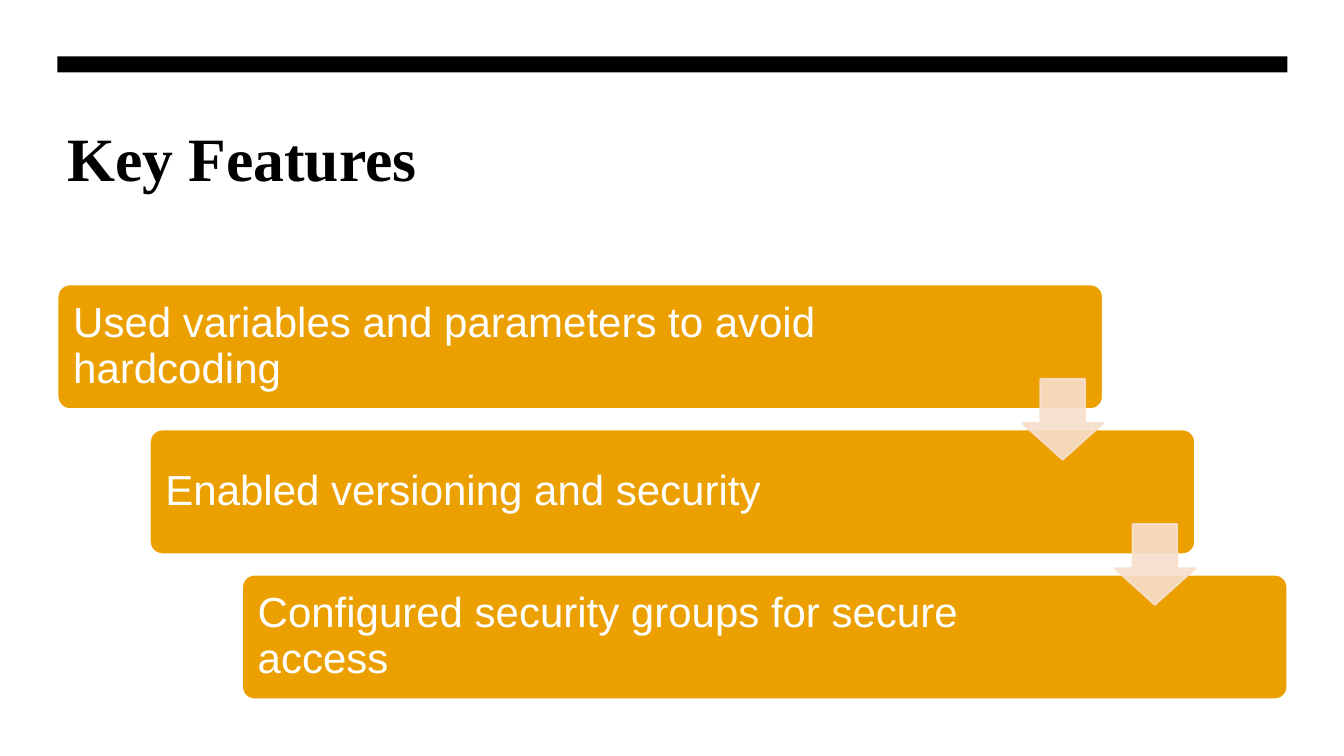
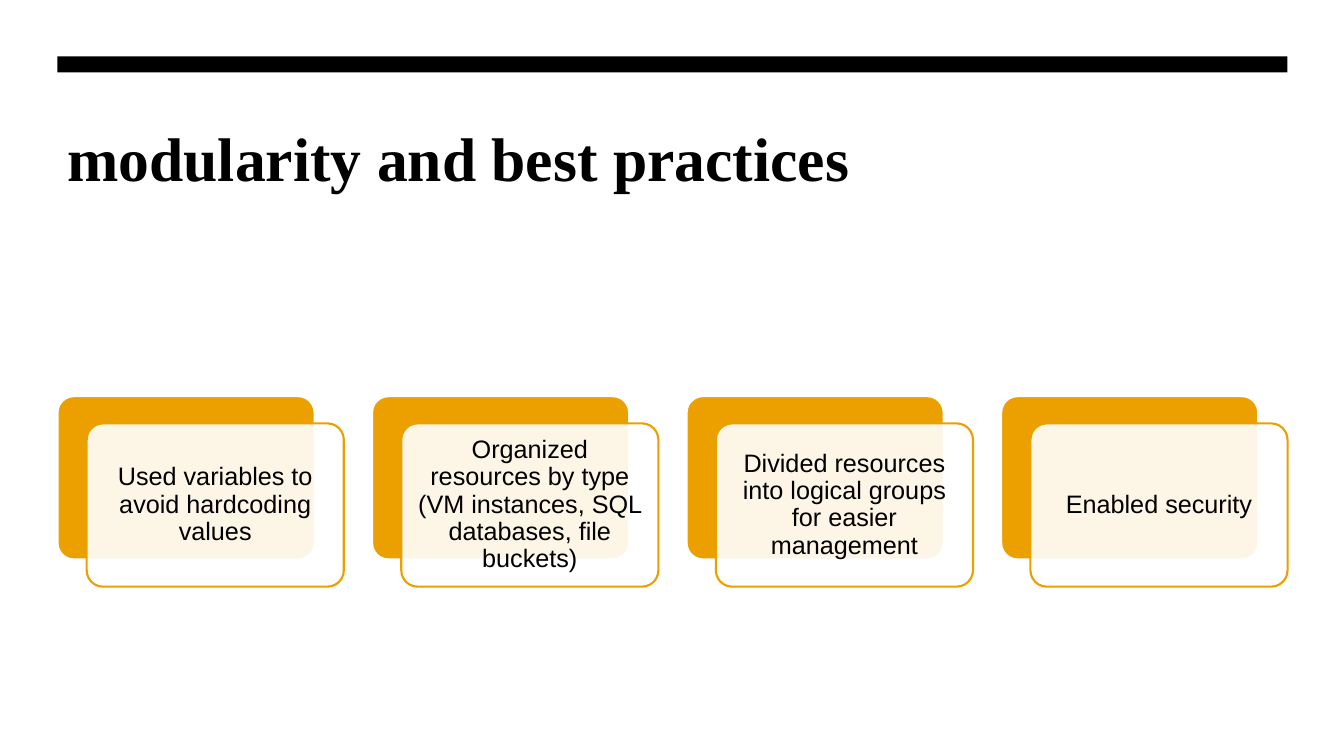
from lxml import etree
from pptx import Presentation
from pptx.dml.color import RGBColor
from pptx.enum.shapes import MSO_SHAPE
from pptx.enum.text import MSO_ANCHOR, PP_ALIGN
from pptx.oxml.ns import qn
from pptx.util import Pt

RECTANGLE = MSO_SHAPE.RECTANGLE
ROUNDED = MSO_SHAPE.ROUNDED_RECTANGLE
DOWN_ARROW = MSO_SHAPE.DOWN_ARROW
TOP, MIDDLE = MSO_ANCHOR.TOP, MSO_ANCHOR.MIDDLE
LEFT_ALIGN, CENTER = PP_ALIGN.LEFT, PP_ALIGN.CENTER

COLORS = {"black": "000000", "white": "FFFFFF", "amber": "EBA000", "peach": "F7DFCC"}
TITLE_FONT, BODY_FONT = "Times New Roman", "Arial"

FEATURES_TITLE = "Key Features"
FEATURES = [
    ("Used variables and parameters to avoid hardcoding", 137),
    ("Enabled versioning and security", 183),
    ("Configured security groups for secure access", 183),
]
PRACTICES_TITLE = "modularity and best practices"
PRACTICES = [
    "Used variables to avoid hardcoding values",
    "Organized resources by type (VM instances, SQL databases, file buckets)",
    "Divided resources into logical groups for easier management",
    "Enabled security",
]

EMU_PER_PX = 9144
SLIDE_WIDTH, SLIDE_HEIGHT = 1333, 750
MARGIN, CONTENT_WIDTH = 57, 1220
STEP_WIDTH, STEP_HEIGHT, STEP_TOP, STEP_PITCH = 1037, 124, 282, 144
ARROW_SIZE, ARROW_DROP = 80, 94
CARD_WIDTH, CARD_HEIGHT, CARD_TOP, CARD_PITCH = 255, 162, 393, 312
CARD_SHIFT_X, CARD_SHIFT_Y = 29, 27


def px(*lengths):
    return [round(length * EMU_PER_PX) for length in lengths]


def set_text(shape, text, size, font=BODY_FONT, color="black", bold=False,
             align=LEFT_ALIGN, anchor=MIDDLE, insets=(0, 0, 0, 0), spacing=0.9):
    frame = shape.text_frame
    frame.word_wrap = True
    frame.vertical_anchor = anchor
    (frame.margin_left, frame.margin_top,
     frame.margin_right, frame.margin_bottom) = px(*insets)
    para = frame.paragraphs[0]
    para.alignment = align
    para.line_spacing = spacing
    span = para.add_run()
    span.text = text
    span.font.name = font
    span.font.size = Pt(size)
    span.font.bold = bold
    span.font.color.rgb = RGBColor.from_string(COLORS[color])


def paint(fill, color, opacity):
    fill.solid()
    fill.fore_color.rgb = RGBColor.from_string(COLORS[color])
    if opacity < 100:
        value = fill._xPr.find(qn("a:solidFill"))[0]
        etree.SubElement(value, qn("a:alpha"), val=str(opacity * 1000))


def add_box(page, kind, bounds, fill, line=None, adjust=(),
            opacity=100, line_opacity=100):
    box = page.shapes.add_shape(kind, *px(*bounds))
    box.shadow.inherit = False
    for index, value in enumerate(adjust):
        box.adjustments[index] = value
    paint(box.fill, fill, opacity)
    if line:
        box.line.width = Pt(1.5)
        paint(box.line.fill, line, line_opacity)
    else:
        box.line.fill.background()
    return box


def add_page(deck, title):
    page = deck.slides.add_slide(deck.slide_layouts[6])
    heading = page.shapes.add_textbox(*px(MARGIN, 107, CONTENT_WIDTH, 160))
    set_text(heading, title, 44, font=TITLE_FONT, bold=True, anchor=TOP,
             insets=(10, 12, 10, 5), spacing=1.0)
    add_box(page, RECTANGLE, (MARGIN, 56, CONTENT_WIDTH, 16), "black")
    return page


def build_features(deck):
    page = add_page(deck, FEATURES_TITLE)
    shift = (CONTENT_WIDTH - STEP_WIDTH) / (len(FEATURES) - 1)
    corners = [(MARGIN + shift * i, STEP_TOP + STEP_PITCH * i)
               for i in range(len(FEATURES))]
    for (left, top), (text, right_inset) in zip(corners, FEATURES):
        step = add_box(page, ROUNDED, (left, top, STEP_WIDTH, STEP_HEIGHT),
                       "amber", line="white", adjust=(0.1,))
        set_text(step, text, 30, color="white", insets=(12, 12, right_inset, 12))
    for left, top in corners[:-1]:
        arrow_left = left + STEP_WIDTH - ARROW_SIZE
        add_box(page, DOWN_ARROW,
                (arrow_left, top + ARROW_DROP, ARROW_SIZE, ARROW_SIZE),
                "peach", line="peach", adjust=(0.55, 0.45),
                opacity=90, line_opacity=90)


def build_practices(deck):
    page = add_page(deck, PRACTICES_TITLE)
    for index, text in enumerate(PRACTICES):
        left = MARGIN + CARD_PITCH * index
        add_box(page, ROUNDED, (left, CARD_TOP, CARD_WIDTH, CARD_HEIGHT),
                "amber", line="white", adjust=(0.1,))
        card = add_box(page, ROUNDED,
                       (left + CARD_SHIFT_X, CARD_TOP + CARD_SHIFT_Y,
                        CARD_WIDTH, CARD_HEIGHT),
                       "white", line="amber", adjust=(0.1,), opacity=90)
        set_text(card, text, 18, align=CENTER, insets=(7, 7, 7, 7))


def main():
    deck = Presentation()
    deck.slide_width, deck.slide_height = px(SLIDE_WIDTH, SLIDE_HEIGHT)
    build_features(deck)
    build_practices(deck)
    deck.save("out.pptx")


if __name__ == "__main__":
    main()
